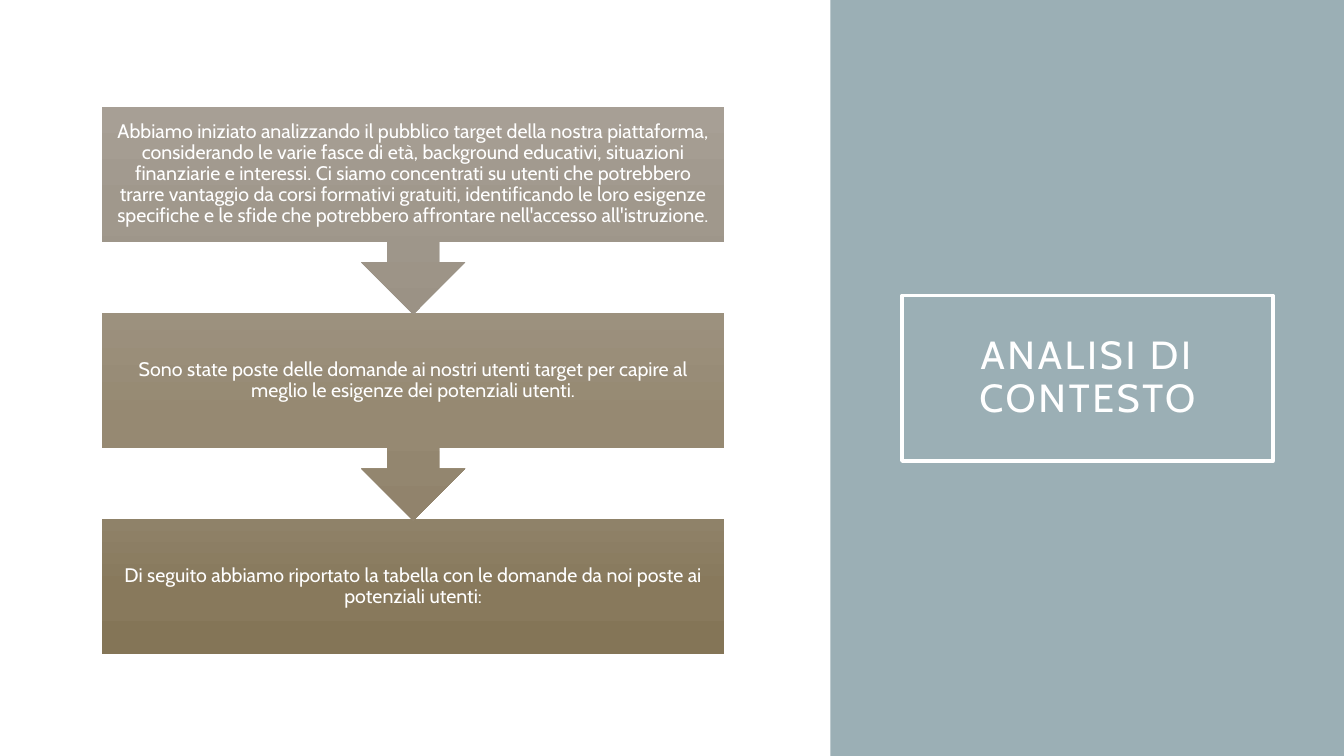
from copy import deepcopy
from pptx import Presentation
from pptx.dml.color import RGBColor as RGB
from pptx.enum.shapes import MSO_SHAPE as Kind
from pptx.enum.text import MSO_ANCHOR as Anchor, PP_ALIGN as Align
from pptx.util import Cm, Pt

WHITE = RGB(0xFF, 0xFF, 0xFF)
BLUE = RGB(0x9B, 0xAF, 0xB5)
SAND = [RGB(0xA7, 0x9F, 0x95), RGB(0xA0, 0x98, 0x8C), RGB(0x9B, 0x92, 0x85)]
CLAY = [RGB(0x9C, 0x91, 0x7E), RGB(0x96, 0x89, 0x72), RGB(0x91, 0x83, 0x6C)]
EARTH = [RGB(0x8F, 0x82, 0x69), RGB(0x88, 0x79, 0x5C), RGB(0x84, 0x75, 0x57)]

deck = Presentation()
deck.slide_width, deck.slide_height = Cm(33.87), Cm(19.05)
slide = deck.slides.add_slide(deck.slide_layouts[6])


def add_box(kind, left, top, width, height):
    box = slide.shapes.add_shape(kind, Cm(left), Cm(top), Cm(width), Cm(height))
    box.shadow.inherit = False
    box.line.fill.background()
    return box


def add_text(box, text, size, inset):
    frame = box.text_frame
    look = {"word_wrap": True, "vertical_anchor": Anchor.MIDDLE}
    for side in ("left", "top", "right", "bottom"):
        look["margin_" + side] = Cm(inset)
    for name, value in look.items():
        setattr(frame, name, value)
    para = frame.paragraphs[0]
    para.alignment, para.line_spacing = Align.CENTER, 0.9
    run = para.add_run()
    run.text = text
    for name, value in {"name": "Cabin", "size": Pt(size)}.items():
        setattr(run.font, name, value)
    run.font.color.rgb = WHITE
    return run


panel = add_box(Kind.RECTANGLE, 20.93, 0, 12.94, 19.05)
panel.fill.solid()
panel.fill.fore_color.rgb = BLUE

title = add_box(Kind.RECTANGLE, 22.73, 7.45, 9.35, 4.17)
title.fill.background()
title.line.color.rgb = WHITE
title.line.width = Pt(2.5)
run = add_text(title, "ANALISI DI CONTESTO", 28, 0.51)
run.font._element.set("spc", "200")

steps = [
    (Kind.DOWN_ARROW_CALLOUT, 5.23, SAND,
     "Abbiamo iniziato analizzando il pubblico target della nostra piattaforma, "
     "considerando le varie fasce di età, background educativi, situazioni "
     "finanziarie e interessi. Ci siamo concentrati su utenti che potrebbero "
     "trarre vantaggio da corsi formativi gratuiti, identificando le loro esigenze "
     "specifiche e le sfide che potrebbero affrontare nell'accesso all'istruzione."),
    (Kind.DOWN_ARROW_CALLOUT, 5.23, CLAY,
     "Sono state poste delle domande ai nostri utenti target per capire al "
     "meglio le esigenze dei potenziali utenti."),
    (Kind.RECTANGLE, 3.4, EARTH,
     "Di seguito abbiamo riportato la tabella con le domande da noi poste ai "
     "potenziali utenti:"),
]
for row, (kind, height, shades, text) in reversed(list(enumerate(steps))):
    box = add_box(kind, 2.57, 2.69 + 5.2 * row, 15.69, height)
    box.fill.gradient()
    box.fill.gradient_angle = 270
    first = box.fill.gradient_stops[0]._gs
    first.addnext(deepcopy(first))
    for place, (stop, shade) in enumerate(zip(box.fill.gradient_stops, shades)):
        stop.position = place / 2
        stop.color.rgb = shade
    add_text(box, text, 14, 0.28)

deck.save("out.pptx")
